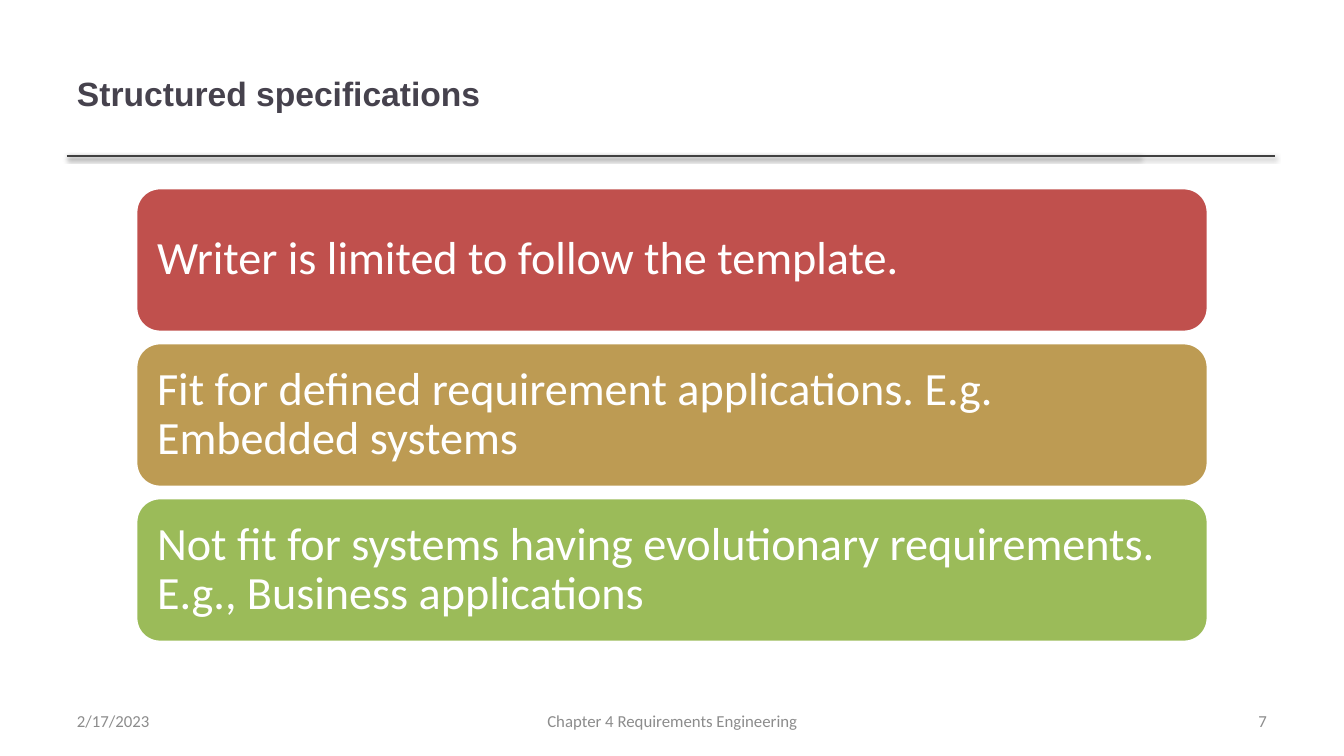
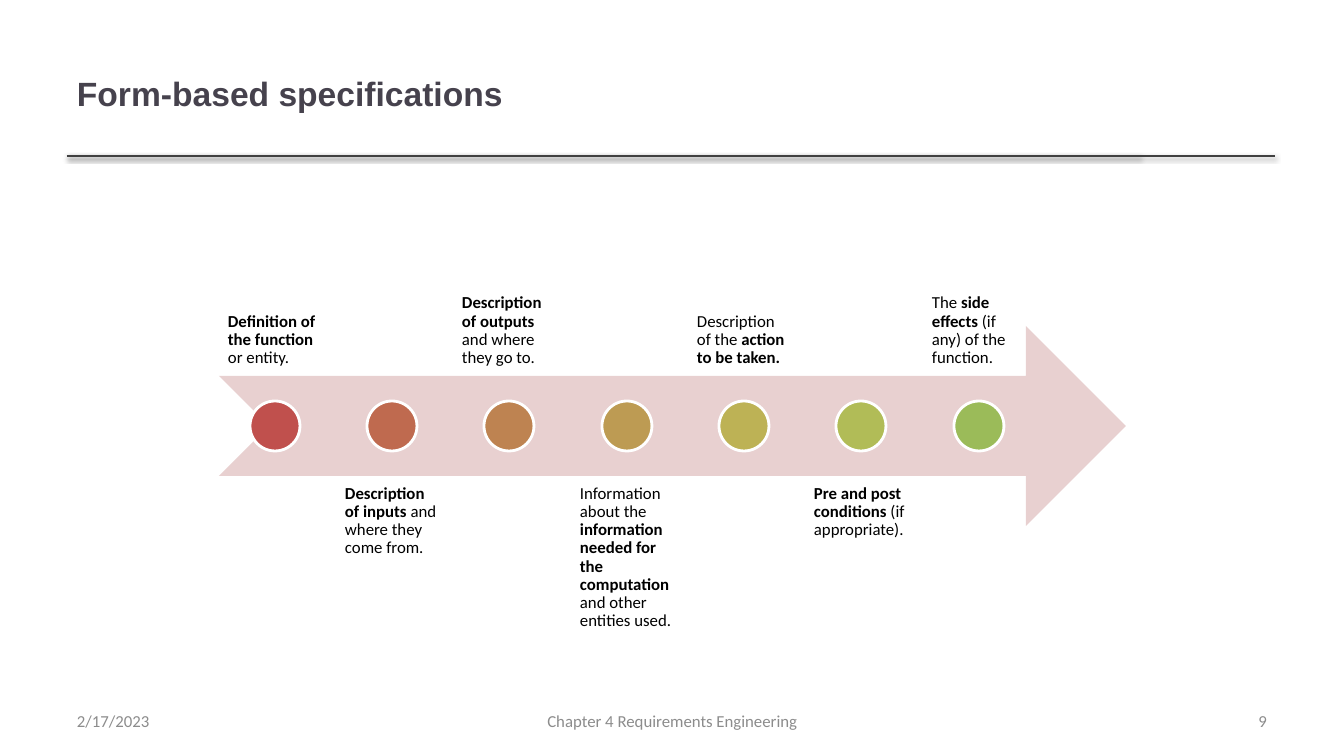
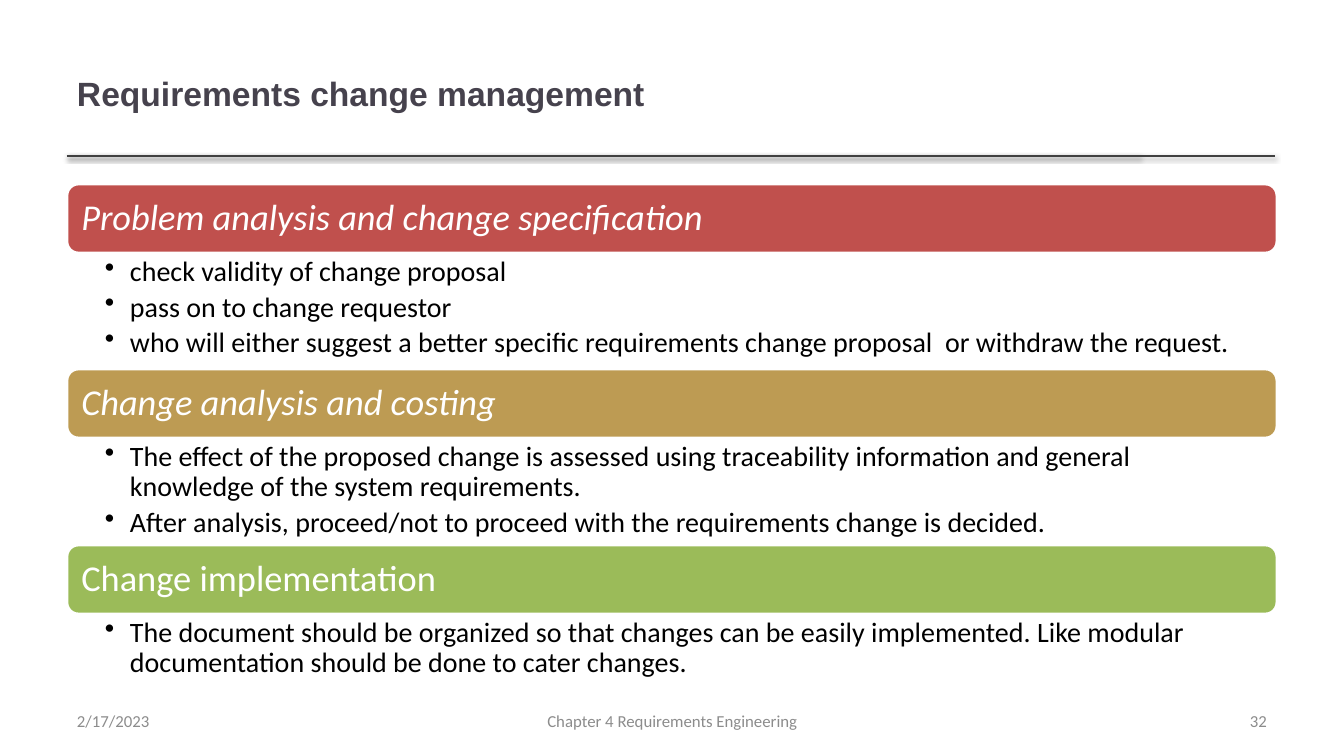
import pptx
import pptx.dml.color
import pptx.enum.shapes
import pptx.enum.text
import pptx.oxml
import pptx.oxml.ns
import pptx.util

PX = 914400 / 100.8
COLORS = {
    "title": "46424D", "rule": "404040", "footer": "8C8C8C",
    "white": "FFFFFF", "black": "000000", "arrow": "E8D0D0",
    "red": "C0504D", "rust": "BF6A4F", "copper": "BE8351", "gold": "BD9B53",
    "mustard": "BDB255", "lime": "B1BC57", "green": "9BBB59",
}
SHAPE = pptx.enum.shapes.MSO_SHAPE
ANCHOR = pptx.enum.text.MSO_ANCHOR
ALIGN = pptx.enum.text.PP_ALIGN

TITLE = {"size": pptx.util.Pt(24), "name": "Arial", "bold": True}
FOOTER = {"size": pptx.util.Pt(12), "name": "Calibri"}
STATEMENT = {"size": pptx.util.Pt(33), "name": "Calibri"}
STEP = {"size": pptx.util.Pt(12), "name": "Calibri"}
STAGE = {"size": pptx.util.Pt(26), "name": "Calibri"}
DETAIL = {"size": pptx.util.Pt(20), "name": "Calibri"}

SHADOW = (
    f'<a:effectLst {pptx.oxml.ns.nsdecls("a")}>'
    '<a:outerShdw blurRad="39370" dist="20320" dir="5400000" rotWithShape="0">'
    '<a:srgbClr val="000000"><a:alpha val="38000"/></a:srgbClr>'
    "</a:outerShdw></a:effectLst>"
)
BULLET = f'<a:buChar {pptx.oxml.ns.nsdecls("a")} char="•"/>'


def px(*lengths):
    return [pptx.util.Emu(round(length * PX)) for length in lengths]


def rgb(color):
    return pptx.dml.color.RGBColor.from_string(COLORS[color])


def add_block(slide, box, fill=None, preset=None, outline=None):
    """Add a filled preset shape, or a text box when no preset is given."""
    if preset is None:
        return slide.shapes.add_textbox(*px(*box))
    shape = slide.shapes.add_shape(preset, *px(*box))
    shape.shadow.inherit = False
    shape.fill.solid()
    shape.fill.fore_color.rgb = rgb(fill)
    if outline:
        shape.line.color.rgb = rgb(outline)
        shape.line.width = pptx.util.Pt(2)
    else:
        shape.line.fill.background()
    return shape


def write(shape, paragraphs, style, color, anchor=ANCHOR.MIDDLE, align=ALIGN.LEFT,
          insets=(10, 5, 10, 5), spacing=None, bullets=False):
    """Fill a shape with text; parts between asterisks are bold."""
    frame = shape.text_frame
    frame.word_wrap = True
    frame.vertical_anchor = anchor
    for side, inset in zip(("left", "top", "right", "bottom"), px(*insets)):
        setattr(frame, f"margin_{side}", inset)
    for index, text in enumerate(paragraphs):
        paragraph = frame.add_paragraph() if index else frame.paragraphs[0]
        paragraph.alignment = align
        paragraph.line_spacing = spacing
        if bullets:
            properties = paragraph._p.get_or_add_pPr()
            indent = px(25)[0]
            properties.set("marL", str(indent))
            properties.set("indent", str(-indent))
            properties.append(pptx.oxml.parse_xml(BULLET))
            paragraph.space_after = pptx.util.Pt(4)
        for part, words in enumerate(text.split("*")):
            if not words:
                continue
            run = paragraph.add_run()
            run.text = words
            for name, value in style.items():
                setattr(run.font, name, value)
            if part % 2:
                run.font.bold = True
            run.font.color.rgb = rgb(color)


deck = pptx.Presentation()
deck.slide_width, deck.slide_height = px(1344, 756)

# Shared title, rules and footer
slides = []
for title, number in (
    ("Structured specifications", "7"),
    ("Form-based specifications", "9"),
    ("Requirements change management", "32"),
):
    slide = deck.slides.add_slide(deck.slide_layouts[6])
    slides.append(slide)
    for rule_end in (1141, 1275):
        rule = slide.shapes.add_connector(
            pptx.enum.shapes.MSO_CONNECTOR.STRAIGHT, *px(67, 156, rule_end, 156))
        rule.line.color.rgb = rgb("rule")
        rule.line.width = pptx.util.Pt(2)
        rule._element.spPr.append(pptx.oxml.parse_xml(SHADOW))
    write(add_block(slide, (67, 30, 1072, 126)), [title], TITLE, "title")
    for left, width, text, align in (
        (67, 313, "2/17/2023", ALIGN.LEFT),
        (460, 425, "Chapter 4 Requirements Engineering", ALIGN.CENTER),
        (964, 313, number, ALIGN.RIGHT),
    ):
        write(add_block(slide, (left, 701, width, 40)), [text], FOOTER, "footer", align=align)

structured, form_based, change = slides

# Structured specifications
statements = (
    ("red", "Writer is limited to follow the template."),
    ("gold", "Fit for defined requirement applications. E.g. Embedded systems"),
    ("green", "Not fit for systems having evolutionary requirements. "
              "E.g., Business applications"),
)
for row, (color, text) in enumerate(statements):
    bar = add_block(structured, (136, 188 + 155 * row, 1072, 144), color,
                    SHAPE.ROUNDED_RECTANGLE, "white")
    write(bar, [text], STATEMENT, "white", insets=[14] * 4, spacing=0.9)

# Form-based specifications
add_block(form_based, (219, 326, 907, 200), "arrow", SHAPE.NOTCHED_RIGHT_ARROW)
steps = (
    ("red", "*Definition of the function *or entity."),
    ("rust", "*Description of inputs *and where they come from."),
    ("copper", "*Description of outputs *and where they go to."),
    ("gold", "Information about the *information needed for the computation *"
             "and other entities used."),
    ("mustard", "Description of the *action to be taken.*"),
    ("lime", "*Pre and post conditions* (if appropriate)."),
    ("green", "The *side effects* (if any) of the function."),
)
for index, (color, text) in enumerate(steps):
    left = 219 + 704 * index // 6
    top, anchor = (476, ANCHOR.TOP) if index % 2 else (176, ANCHOR.BOTTOM)
    write(add_block(form_based, (left, top, 112, 200)), [text], STEP, "black",
          anchor=anchor, insets=[9] * 4, spacing=0.9)
    add_block(form_based, (left + 31, 401, 50, 50), color, SHAPE.OVAL, "white")

# Requirements change management
stages = (
    ("red", "Problem analysis and change specification", True, 116, ALIGN.JUSTIFY, (
        "check validity of change proposal",
        "pass on to change requestor",
        "who will either suggest a better specific requirements change proposal  "
        "or withdraw the request.")),
    ("gold", "Change analysis and costing", True, 107, ALIGN.LEFT, (
        "The effect of the proposed change is assessed using traceability information "
        "and general knowledge of the system requirements.",
        "After analysis, proceed/not to proceed with the requirements change is decided.")),
    ("green", "Change implementation", False, 70, ALIGN.LEFT, (
        "The document should be organized so that changes can be easily implemented. "
        "Like modular documentation should be done to cater changes.",)),
)
top = 184
for color, heading, italic, height, align, details in stages:
    bar = add_block(change, (67, top, 1210, 69), color, SHAPE.ROUNDED_RECTANGLE, "white")
    write(bar, [heading], {**STAGE, "italic": italic}, "white", insets=[11] * 4, spacing=0.9)
    write(add_block(change, (67, top + 69, 1210, height)), details, DETAIL, "black",
          anchor=ANCHOR.TOP, align=align, insets=(38, 4, 20, 4), spacing=0.9, bullets=True)
    top += 69 + height

deck.save("out.pptx")
